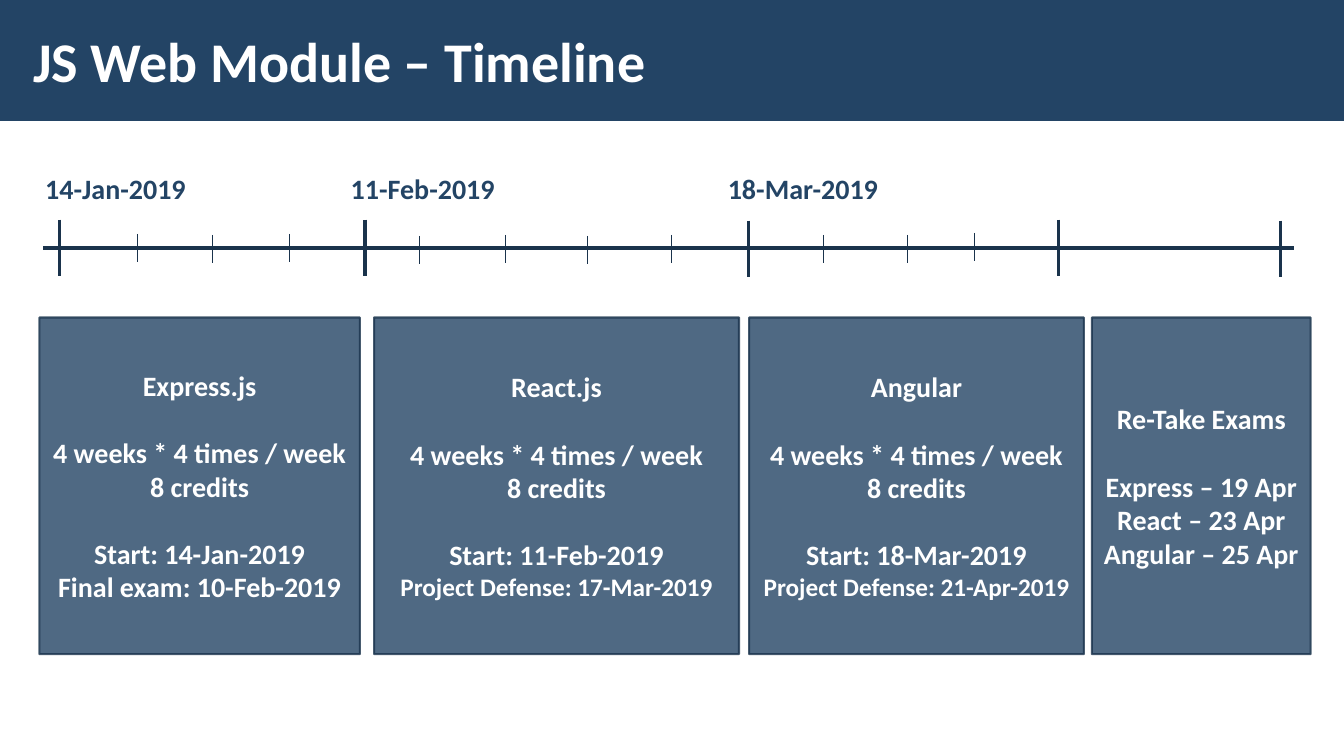
from pptx import Presentation, util as u
from pptx.dml.color import RGBColor
from pptx.enum import shapes, text
from pptx.oxml.ns import qn
from lxml import etree

PX = 9144  # 100 px to the inch
theme = {
    "font": "Calibri",
    "navy": RGBColor.from_string("234465"),
    "dark": RGBColor.from_string("1A334C"),
    "white": RGBColor.from_string("FFFFFF"),
    "title": 40, "body": 20, "small": 18,
    "thick": 2.25, "thin": 0.5, "edge": 1.5,
    "alpha": "80000",
}

deck = Presentation()
deck.slide_width, deck.slide_height = 1333 * PX, 750 * PX
slide = deck.slides.add_slide(deck.slide_layouts[6])


def style(para, size, color):
    for run in para.runs:
        font = run.font
        font.name, font.size, font.bold = theme["font"], u.Pt(size), True
        font.color.rgb = color


def rule(x1, y1, x2, y2, width):
    line = slide.shapes.add_connector(
        shapes.MSO_CONNECTOR.STRAIGHT, x1 * PX, y1 * PX, x2 * PX, y2 * PX)
    line.line.color.rgb = theme["dark"]
    line.line.width = u.Pt(width)
    etree.SubElement(line._element.spPr, qn("a:effectLst"))


# Title band
band = slide.shapes.add_shape(shapes.MSO_SHAPE.RECTANGLE, 0, 0, 1333 * PX, 120 * PX)
band.shadow.inherit = False
band.fill.solid()
band.fill.fore_color.rgb = theme["navy"]
band.line.fill.background()

title = slide.shapes.add_textbox(21 * PX, 11 * PX, 1039 * PX, 97 * PX)
frame = title.text_frame
frame.word_wrap = True
frame.vertical_anchor = text.MSO_ANCHOR.MIDDLE
frame.margin_left = frame.margin_right = 12 * PX
frame.margin_top = frame.margin_bottom = 4 * PX
frame.text = "JS Web Module – Timeline"
style(frame.paragraphs[0], theme["title"], theme["white"])

# Axis with long ticks at course bounds and short ticks at weeks
rule(43, 246, 1283, 246, theme["thick"])
for x, top in [(59, 218), (362, 218), (742, 219), (1050, 218), (1270, 219)]:
    rule(x, top, x, top + 56, theme["thick"])
for x, top in [(136, 232), (211, 233), (287, 232), (416, 234), (501, 233), (583, 234),
               (666, 233), (817, 233), (900, 233), (966, 231)]:
    rule(x, top, x, top + 28, theme["thin"])

# Start dates
for x, width, date in [(35, 161, "14-Jan-2019"), (338, 164, "11-Feb-2019"),
                       (712, 171, "18-Mar-2019")]:
    label = slide.shapes.add_textbox(x * PX, 165 * PX, width * PX, 44 * PX)
    label.text_frame.word_wrap = False
    label.text_frame.text = date
    style(label.text_frame.paragraphs[0], theme["body"], theme["navy"])

# Course cards: left, width, groups of lines
load = ["4 weeks * 4 times / week", "8 credits"]
cards = [
    (39, 318, [["Express.js"], load,
               ["Start: 14-Jan-2019", "Final exam: 10-Feb-2019"]]),
    (371, 362, [["React.js"], load,
                ["Start: 11-Feb-2019", "Project Defense: 17-Mar-2019"]]),
    (743, 332, [["Angular"], load,
                ["Start: 18-Mar-2019", "Project Defense: 21-Apr-2019"]]),
    (1083, 217, [["Re-Take Exams"],
                 ["Express – 19 Apr", "React – 23 Apr", "Angular – 25 Apr"]]),
]
for x, width, groups in cards:
    card = slide.shapes.add_shape(
        shapes.MSO_SHAPE.RECTANGLE, x * PX, 315 * PX, width * PX, 334 * PX)
    card.shadow.inherit = False
    card.fill.solid()
    card.fill.fore_color.rgb = theme["navy"]
    card.line.color.rgb = theme["dark"]
    card.line.width = u.Pt(theme["edge"])
    for color in card._element.spPr.iter(qn("a:srgbClr")):
        etree.SubElement(color, qn("a:alpha")).set("val", theme["alpha"])

    frame = card.text_frame
    frame.word_wrap = True
    frame.vertical_anchor = text.MSO_ANCHOR.MIDDLE
    frame.text = "\n".join(line for group in groups for line in group)
    paras = iter(frame.paragraphs)
    for part, group in enumerate(groups):
        for row, line in enumerate(group):
            para = next(paras)
            para.alignment = text.PP_ALIGN.CENTER
            if part and row == 0:
                para.space_before = u.Pt(24)
            small = line.startswith("Project")
            style(para, theme["small" if small else "body"], theme["white"])

deck.save("out.pptx")
